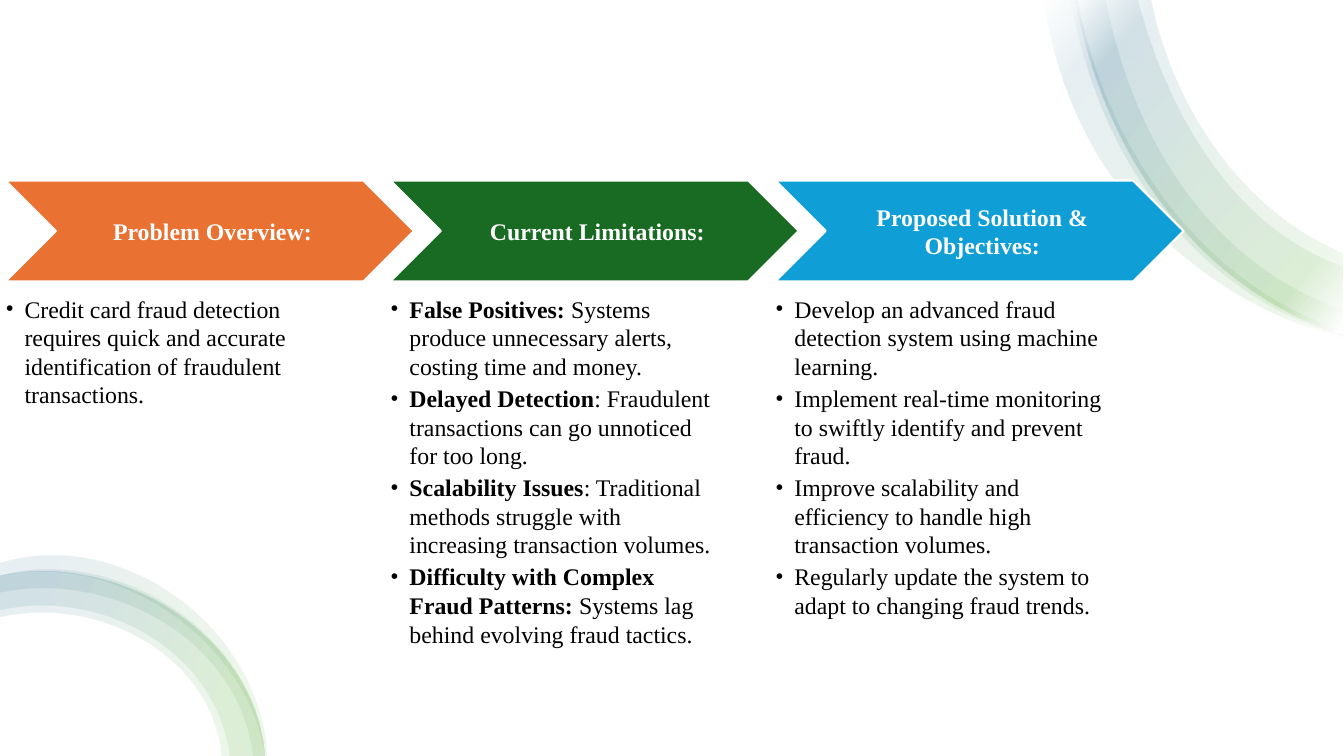
"""Build the fraud detection overview slide with three chevron columns."""
from dataclasses import dataclass

from lxml import etree
from pptx import Presentation
from pptx.dml.color import RGBColor
from pptx.enum.shapes import MSO_SHAPE
from pptx.enum.text import MSO_ANCHOR, PP_ALIGN
from pptx.oxml import parse_xml
from pptx.oxml.ns import nsdecls, qn
from pptx.util import Cm, Pt

RECTANGLE = MSO_SHAPE.RECTANGLE
CHEVRON = MSO_SHAPE.CHEVRON
MIDDLE = MSO_ANCHOR.MIDDLE
CENTER = PP_ALIGN.CENTER

WHITE = "FFFFFF"
BLACK = "000000"
FONT = "Times New Roman"
TEXT_SIZE = 17
COLUMN_LEFT, COLUMN_PITCH = 0.14, 9.7
CHEVRON_TOP, CHEVRON_WIDTH, CHEVRON_HEIGHT = 4.55, 10.29, 2.54
HEADING_SHIFT, HEADING_WIDTH = 1.28, 7.75
BODY_TOP, BODY_WIDTH, BODY_HEIGHT = 7.42, 8.23, 8.64
UNITS = 1000
UNIT_LENGTH = Cm(2.54 / UNITS)
RIBBON_ALPHA = 10

Point = tuple[float, float]
Stop = tuple[int, str]


@dataclass
class Swirl:
    """The gradient shared by the bands of one corner."""
    angle: int
    stops: list[Stop]


@dataclass
class Ribbon:
    """A band between two curved edges, each given by four evenly spaced points in inches."""
    swirl: Swirl
    outer: list[Point]
    inner: list[Point]


@dataclass
class Bullet:
    """A bullet with an optional bold lead."""
    text: str
    lead: str = ""


@dataclass
class Column:
    """A chevron heading and the bullets under it."""
    heading: str
    color: str
    bullets: list[Bullet]


MIDDLE_STOPS = [(16, "4EA72E"), (85, "156082")]
TOP_SWIRL = Swirl(220, [(2, WHITE), *MIDDLE_STOPS, (100, WHITE)])
BOTTOM_SWIRL = Swirl(200, MIDDLE_STOPS)
TOP_WIDE_EDGE = [(10.68, 0), (11.18, 1.46), (12.08, 2.61), (13.33, 3.32)]
BOTTOM_WIDE_EDGE = [(0, 5.72), (1.17, 5.8), (2.16, 6.44), (2.63, 7.5)]

RIBBONS = [
    Ribbon(TOP_SWIRL, [(10.37, 0), (10.88, 1.51), (11.91, 2.67), (13.33, 3.35)],
           [(10.7, 0), (11.18, 1.38), (12.07, 2.54), (13.33, 3.28)]),
    Ribbon(TOP_SWIRL, TOP_WIDE_EDGE, [(11.43, 0), (11.79, 1.02), (12.43, 1.9), (13.33, 2.51)]),
    Ribbon(TOP_SWIRL, [(10.64, 0), (11.1, 1.42), (12.01, 2.61), (13.33, 3.33)],
           [(10.98, 0), (11.4, 1.28), (12.17, 2.36), (13.33, 3.08)]),
    Ribbon(TOP_SWIRL, TOP_WIDE_EDGE, [(11.3, 0), (11.7, 1.07), (12.37, 2.02), (13.33, 2.64)]),
    Ribbon(BOTTOM_SWIRL, BOTTOM_WIDE_EDGE, [(0, 6.13), (0.96, 6.16), (1.79, 6.64), (2.2, 7.5)]),
    Ribbon(BOTTOM_SWIRL, BOTTOM_WIDE_EDGE, [(0, 6.06), (1, 6.1), (1.85, 6.61), (2.28, 7.5)]),
    Ribbon(BOTTOM_SWIRL, [(0, 5.71), (1.18, 5.77), (2.17, 6.43), (2.63, 7.5)],
           [(0, 5.88), (1.1, 5.94), (2.04, 6.51), (2.51, 7.5)]),
    Ribbon(BOTTOM_SWIRL, [(0, 5.59), (1.21, 5.64), (2.2, 6.36), (2.64, 7.5)],
           [(0, 5.72), (1.15, 5.81), (2.12, 6.47), (2.62, 7.5)]),
]

COLUMNS = [
    Column("Problem Overview:", "E97132", [
        Bullet("Credit card fraud detection requires quick and accurate identification of fraudulent transactions."),
    ]),
    Column("Current Limitations:", "196B24", [
        Bullet("Systems produce unnecessary alerts, costing time and money.", "False Positives: "),
        Bullet(": Fraudulent transactions can go unnoticed for too long.", "Delayed Detection"),
        Bullet(": Traditional methods struggle with increasing transaction volumes.", "Scalability Issues"),
        Bullet(" Systems lag behind evolving fraud tactics.", "Difficulty with Complex Fraud Patterns:"),
    ]),
    Column("Proposed Solution & Objectives:", "0F9ED5", [
        Bullet("Develop an advanced fraud detection system using machine learning."),
        Bullet("Implement real-time monitoring to swiftly identify and prevent fraud."),
        Bullet("Improve scalability and efficiency to handle high transaction volumes."),
        Bullet("Regularly update the system to adapt to changing fraud trends."),
    ]),
]


def rgb(color: str) -> RGBColor:
    """Turn a hex string into a colour."""
    return RGBColor.from_string(color)


def bezier(edge: list[Point]) -> list[Point]:
    """Give the control points, in freeform units, of the cubic through four points."""
    axes = [(a, (-5 * a + 18 * b - 9 * c + 2 * d) / 6, (2 * a - 9 * b + 18 * c - 5 * d) / 6, d)
            for a, b, c, d in zip(*edge)]
    return [(x * UNITS, y * UNITS) for x, y in zip(*axes)]


def bend(lines: list) -> None:
    """Merge three line segments of an outline into one cubic curve."""
    curve = etree.Element(qn("a:cubicBezTo"))
    lines[0].addprevious(curve)
    for line in lines:
        curve.append(line[0])
        line.getparent().remove(line)


def draw_ribbon(page, ribbon: Ribbon) -> None:
    """Draw one translucent gradient band."""
    outline = bezier(ribbon.outer) + bezier(ribbon.inner)[::-1]
    builder = page.shapes.build_freeform(*outline[0], scale=UNIT_LENGTH)
    builder.add_line_segments(outline[1:], close=True)
    band = builder.convert_to_shape()
    band.shadow.inherit = False
    band.line.fill.background()
    band.fill.background()
    properties = band._element.spPr
    lines = list(properties.iter(qn("a:lnTo")))
    bend(lines[:3])
    bend(lines[4:7])
    stops = "".join(
        f'<a:gs pos="{place * 1000}"><a:srgbClr val="{color}">'
        f'<a:alpha val="{RIBBON_ALPHA * 1000}"/></a:srgbClr></a:gs>'
        for place, color in ribbon.swirl.stops)
    gradient = parse_xml(
        f'<a:gradFill {nsdecls("a")} rotWithShape="1"><a:gsLst>{stops}</a:gsLst>'
        f'<a:lin ang="{ribbon.swirl.angle * 60000}" scaled="0"/></a:gradFill>')
    properties.replace(properties.find(qn("a:noFill")), gradient)


def add_block(page, kind, left: float, top: float, width: float, height: float, color: str):
    """Add a filled preset shape without line or shadow."""
    block = page.shapes.add_shape(kind, Cm(left), Cm(top), Cm(width), Cm(height))
    block.shadow.inherit = False
    block.fill.solid()
    block.fill.fore_color.rgb = rgb(color)
    block.line.fill.background()
    return block


def add_frame(page, left: float, top: float, width: float, height: float, margins: tuple[float, float]):
    """Add a wrapping text box, with its left margin and its other margins."""
    frame = page.shapes.add_textbox(Cm(left), Cm(top), Cm(width), Cm(height)).text_frame
    frame.word_wrap = True
    frame.margin_left = Cm(margins[0])
    frame.margin_right = frame.margin_top = frame.margin_bottom = Cm(margins[1])
    return frame


def style_span(span, color: str, bold: bool) -> None:
    """Format one run."""
    span.font.name = FONT
    span.font.size = Pt(TEXT_SIZE)
    span.font.bold = bold
    span.font.color.rgb = rgb(color)


def write_bullet(para, bullet: Bullet) -> None:
    """Write one bulleted paragraph."""
    for text, bold in ((bullet.lead, True), (bullet.text, False)):
        if text:
            span = para.add_run()
            span.text = text
            style_span(span, BLACK, bold)
    para.level = 1
    para.space_after = Pt(2.5)
    properties = para._p.get_or_add_pPr()
    properties.set("marL", str(Cm(0.48)))
    properties.set("indent", str(-Cm(0.48)))
    etree.SubElement(properties, qn("a:buFont")).set("typeface", FONT)
    etree.SubElement(properties, qn("a:buChar")).set("char", "•")


def draw_column(page, column: Column, left: float) -> None:
    """Draw a chevron, its heading and its bullets."""
    chevron = add_block(page, CHEVRON, left, CHEVRON_TOP, CHEVRON_WIDTH, CHEVRON_HEIGHT, column.color)
    chevron.line.color.rgb = rgb(WHITE)
    chevron.line.width = Pt(1.5)
    heading = add_frame(page, left + HEADING_SHIFT, CHEVRON_TOP, HEADING_WIDTH, CHEVRON_HEIGHT, (0.18, 0.06))
    heading.vertical_anchor = MIDDLE
    heading.text = column.heading
    heading.paragraphs[0].alignment = CENTER
    style_span(heading.paragraphs[0].runs[0], WHITE, True)
    body = add_frame(page, left, BODY_TOP, BODY_WIDTH, BODY_HEIGHT, (0, 0))
    for index, bullet in enumerate(column.bullets):
        write_bullet(body.add_paragraph() if index else body.paragraphs[0], bullet)


def main() -> None:
    """Build and save the deck."""
    deck = Presentation()
    deck.slide_width, deck.slide_height = Cm(33.87), Cm(19.05)
    page = deck.slides.add_slide(deck.slide_layouts.get_by_name("Blank"))
    add_block(page, RECTANGLE, 0, 0, 33.87, 19.05, WHITE)
    for ribbon in RIBBONS:
        draw_ribbon(page, ribbon)
    for index, column in enumerate(COLUMNS):
        draw_column(page, column, COLUMN_LEFT + index * COLUMN_PITCH)
    deck.save("out.pptx")


if __name__ == "__main__":
    main()
